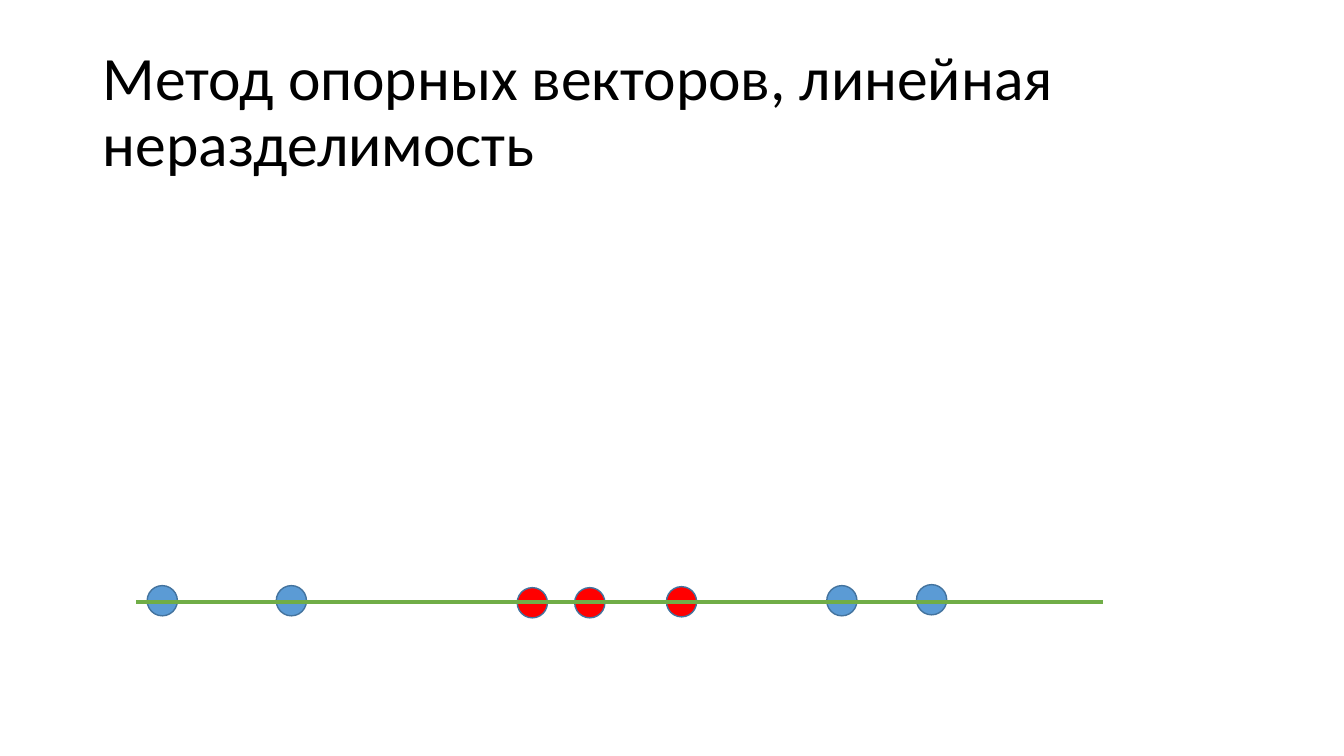
from pptx import Presentation
from pptx.dml.color import RGBColor
from pptx.enum.shapes import MSO_CONNECTOR, MSO_SHAPE
from pptx.enum.text import MSO_ANCHOR
from pptx.util import Inches, Pt
from lxml.etree import SubElement
from pptx.oxml.ns import qn

# Content
TITLE = "Метод опорных векторов, линейная неразделимость"
COLORS = {"title": "000000", "blue": "5B9BD5", "red": "FF0000",
          "outline": "43739E", "axis": "70AD47"}
# Points of the two classes: class, left, top
POINTS = [
    ("blue", 1.46, 5.81), ("blue", 2.74, 5.81),
    ("red", 5.13, 5.83), ("red", 5.7, 5.83), ("red", 6.61, 5.82),
    ("blue", 9.09, 5.8), ("blue", 8.2, 5.81),
]
POINT_SIZE = 0.3
AXIS_START, AXIS_END, AXIS_Y = 1.35, 10.94, 5.97


def color(name):
    return RGBColor.from_string(COLORS[name])


def set_line(part, name, width):
    part.line.color.rgb = color(name)
    part.line.width = Pt(width)


presentation = Presentation()
presentation.slide_width = Inches(13.33)
presentation.slide_height = Inches(7.5)
slide = presentation.slides.add_slide(presentation.slide_layouts[6])

# Title
title = slide.shapes.add_textbox(Inches(0.92), Inches(0.4), Inches(11.5), Inches(1.45))
title.text_frame.word_wrap = True
title.text_frame.vertical_anchor = MSO_ANCHOR.MIDDLE
heading = title.text_frame.paragraphs[0]
heading.line_spacing = 0.9
run = heading.add_run()
run.text = TITLE
run.font.name = "Calibri"
run.font.size = Pt(44)
run.font.color.rgb = color("title")

# Points
for group, left, top in POINTS:
    point = slide.shapes.add_shape(MSO_SHAPE.OVAL, Inches(left), Inches(top),
                                   Inches(POINT_SIZE), Inches(POINT_SIZE))
    point.shadow.inherit = False
    point.fill.solid()
    point.fill.fore_color.rgb = color(group)
    set_line(point, "outline", 1)

# Axis over the points
axis = slide.shapes.add_connector(MSO_CONNECTOR.STRAIGHT, Inches(AXIS_START), Inches(AXIS_Y),
                                  Inches(AXIS_END), Inches(AXIS_Y))
set_line(axis, "axis", 3)
SubElement(axis._element.spPr, qn("a:effectLst"))

presentation.save("out.pptx")
